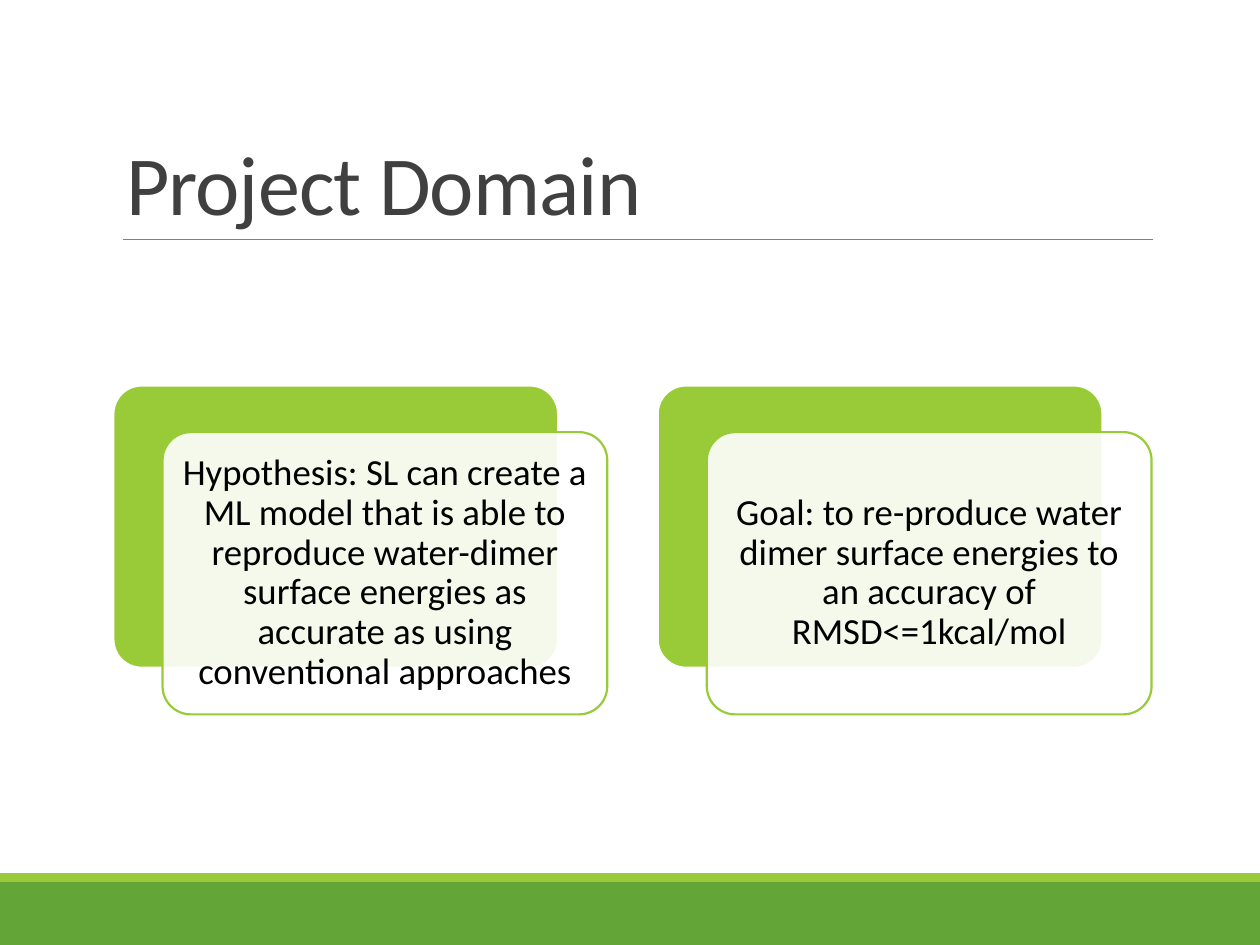
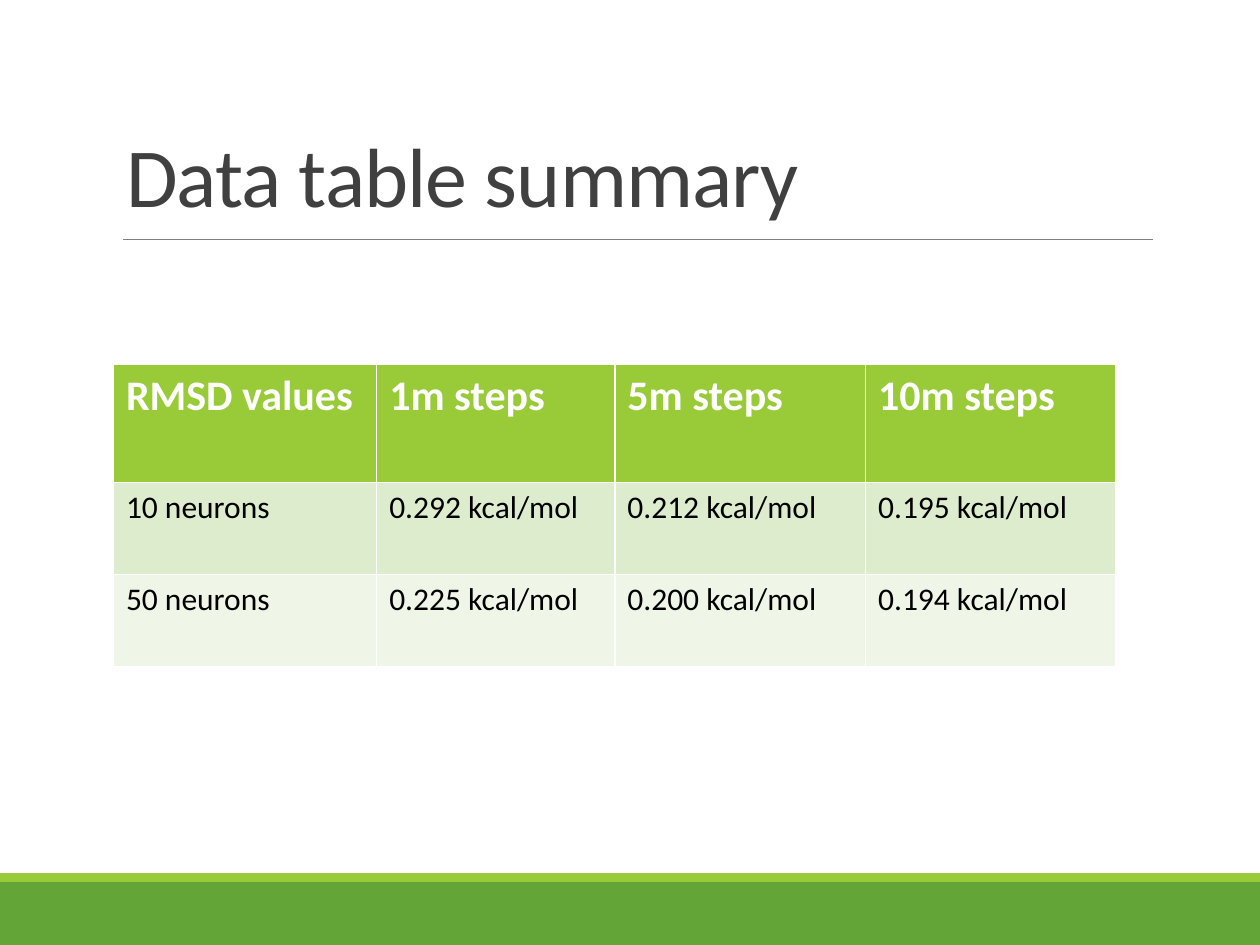
from lxml import etree
from pptx import Presentation
from pptx.dml.color import RGBColor
from pptx.enum import shapes, text
from pptx.oxml.ns import qn
from pptx.util import Inches, Pt

COLORS = {
    "green": "63A537", "lime": "99CB38", "rule": "808080", "title": "404040",
    "white": "FFFFFF", "black": "000000", "odd_row": "DEECCE", "even_row": "EFF6E8",
}
FONT = "Calibri"


def style_text(paragraph, size, color, **formats):
    for span in paragraph.runs:
        formats.update(name=FONT, size=Pt(size))
        for name, value in formats.items():
            setattr(span.font, name, value)
        span.font.color.rgb = RGBColor.from_string(COLORS[color])


def add_block(page, kind, bounds, fill, line=None):
    block = page.shapes.add_shape(kind, *map(Inches, bounds))
    block.shadow.inherit = False
    block.fill.solid()
    block.fill.fore_color.rgb = RGBColor.from_string(COLORS[fill])
    if line:
        block.line.color.rgb = RGBColor.from_string(COLORS[line])
        block.line.width = Pt(1.25)
    else:
        block.line.fill.background()
    return block


deck = Presentation()
deck.slide_width, deck.slide_height = Inches(10), Inches(7.5)

titles = [
    ("Project Domain", (0.9, 0.31, 8.25, 1.59)),
    ("Data table summary", (0.9, 0.58, 6.63, 1.25)),
]
pages = []
for heading, bounds in titles:
    page = deck.slides.add_slide(deck.slide_layouts[5])
    pages.append(page)
    add_block(page, shapes.MSO_SHAPE.RECTANGLE, (0, 7, 10, 0.5), "green")
    add_block(page, shapes.MSO_SHAPE.RECTANGLE, (0, 6.93, 10, 0.07), "lime")

    rule = page.shapes.add_connector(
        shapes.MSO_CONNECTOR.STRAIGHT, Inches(0.98), Inches(1.9), Inches(9.15), Inches(1.9))
    rule.line.color.rgb = RGBColor.from_string(COLORS["rule"])
    rule.line.width = Pt(0.5)
    etree.SubElement(rule._element.spPr, qn("a:effectLst"))

    title = page.shapes.title
    for side, value in zip(("left", "top", "width", "height"), bounds):
        setattr(title, side, Inches(value))
    frame = title.text_frame
    frame.text = heading
    frame.auto_size = text.MSO_AUTO_SIZE.NONE
    frame.vertical_anchor = text.MSO_ANCHOR.BOTTOM
    para = frame.paragraphs[0]
    para.alignment = text.PP_ALIGN.LEFT
    para.line_spacing = 0.85
    style_text(para, 48, "title")
    para.runs[0].font._element.set("spc", "-50")

domain_page, table_page = pages

statements = [
    "Hypothesis: SL can create a ML model that is able to reproduce water-dimer "
    "surface energies as accurate as using conventional approaches",
    "Goal: to re-produce water dimer surface energies to an accuracy of RMSD<=1kcal/mol",
]
card_width, card_height, card_pitch = 3.53, 2.24, 4.32
for index, statement in enumerate(statements):
    left = 0.9 + index * card_pitch
    back = add_block(domain_page, shapes.MSO_SHAPE.ROUNDED_RECTANGLE,
                     (left, 3.06, card_width, card_height), "lime", "white")
    card = add_block(domain_page, shapes.MSO_SHAPE.ROUNDED_RECTANGLE,
                     (left + 0.39, 3.43, card_width, card_height), "white", "lime")
    for block in (back, card):
        block.adjustments[0] = 0.1
    fill_color = card._element.spPr.find(qn("a:solidFill"))[0]
    etree.SubElement(fill_color, qn("a:alpha"), val="90000")

    frame = card.text_frame
    frame.text = statement
    frame.word_wrap = True
    frame.vertical_anchor = text.MSO_ANCHOR.MIDDLE
    for side in ("left", "top", "right", "bottom"):
        setattr(frame, f"margin_{side}", Inches(0.09))
    para = frame.paragraphs[0]
    para.alignment = text.PP_ALIGN.CENTER
    para.line_spacing = 0.9
    style_text(para, 21, "black")

rows = [
    ("RMSD values", "1m steps", "5m steps", "10m steps"),
    ("10 neurons", "0.292 kcal/mol", "0.212 kcal/mol", "0.195 kcal/mol"),
    ("50 neurons", "0.225 kcal/mol", "0.200 kcal/mol", "0.194 kcal/mol"),
]
row_styles = [
    (0.94, "lime", 24, "white", True),
    (0.73, "odd_row", 18, "black", False),
    (0.73, "even_row", 18, "black", False),
]
table = table_page.shapes.add_table(
    len(rows), len(rows[0]), Inches(0.9), Inches(2.89), Inches(7.96), Inches(2.4)).table
for column, width in zip(table.columns, (2.09, 1.89, 1.99, 1.99)):
    column.width = Inches(width)
for row, values, (height, fill, size, color, bold) in zip(table.rows, rows, row_styles):
    row.height = Inches(height)
    for cell, value in zip(row.cells, values):
        cell.text = value
        cell.fill.solid()
        cell.fill.fore_color.rgb = RGBColor.from_string(COLORS[fill])
        style_text(cell.text_frame.paragraphs[0], size, color, bold=bold)

deck.save("out.pptx")
